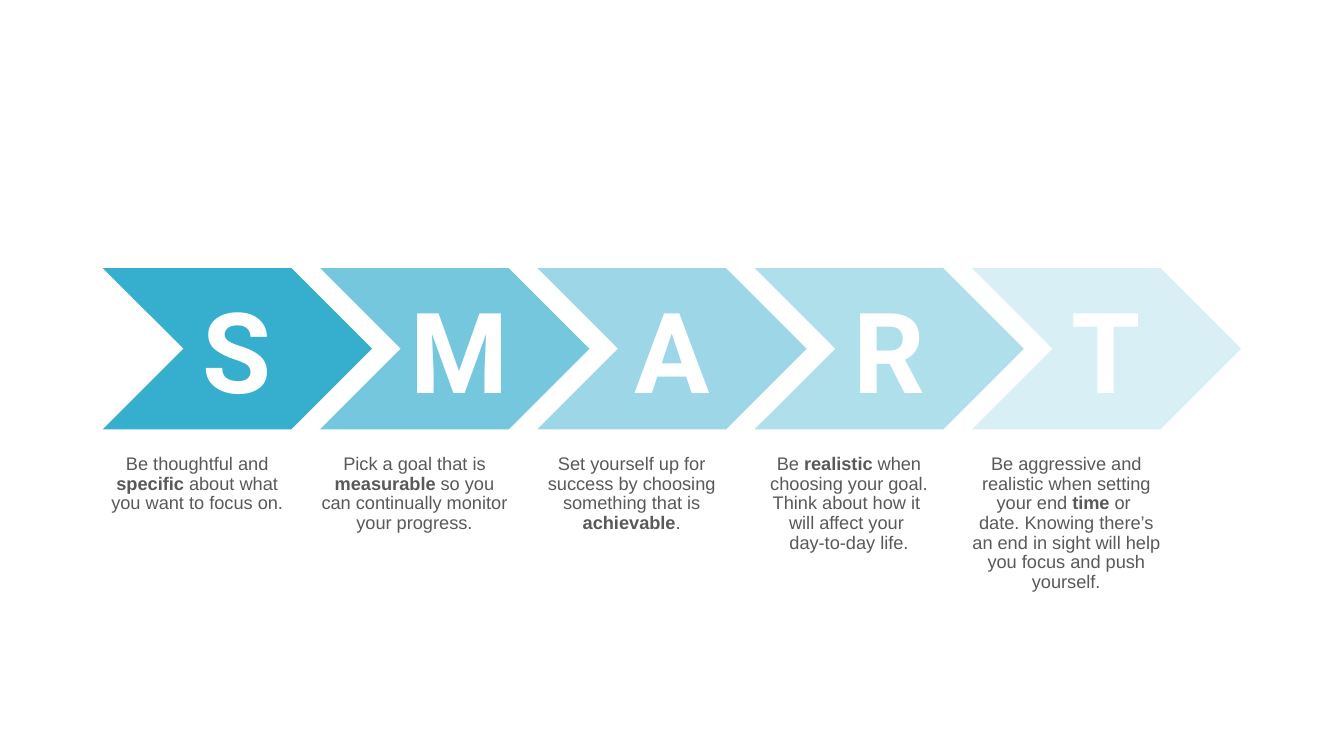
from pptx import Presentation
from pptx.dml.color import RGBColor
from pptx.enum import shapes, text
from pptx.util import Inches, Pt

COLORS = {"S": "36AFCE", "M": "74C7DC", "A": "9DD7E7", "R": "AFDFEB", "T": "D7EFF5",
          "letter": "FFFFFF", "advice": "58595B"}

# Letter and advice; asterisks enclose the bold keyword
STEPS = [
    ("S", "Be thoughtful and *specific* about what you want to focus on."),
    ("M", "Pick a goal that is *measurable* so you can continually monitor your progress."),
    ("A", "Set yourself up for success by choosing something that is *achievable*."),
    ("R", "Be *realistic* when choosing your goal. Think about how it \n"
          "will affect your \nday-to-day life."),
    ("T", "Be aggressive and realistic when setting your end *time* or \n"
          "date. Knowing there’s an end in sight will help you focus and push yourself."),
]
PITCH = 2.155


def style(paragraph, font_name, size, color):
    paragraph.alignment = text.PP_ALIGN.CENTER
    paragraph.font.name = font_name
    paragraph.font.size = Pt(size)
    paragraph.font.color.rgb = RGBColor.from_string(COLORS[color])


def add_chevron(slide, letter, left, top, width, height):
    chevron = slide.shapes.add_shape(
        shapes.MSO_SHAPE.CHEVRON, Inches(left), Inches(top), Inches(width), Inches(height))
    chevron.shadow.inherit = False
    chevron.fill.solid()
    chevron.fill.fore_color.rgb = RGBColor.from_string(COLORS[letter])
    chevron.line.fill.background()
    frame = chevron.text_frame
    frame.vertical_anchor = text.MSO_ANCHOR.MIDDLE
    frame.text = letter
    style(frame.paragraphs[0], "Roboto", 80, "letter")
    frame.paragraphs[0].font.bold = True


def add_advice(slide, advice, left, top, width, height):
    frame = slide.shapes.add_textbox(
        Inches(left), Inches(top), Inches(width), Inches(height)).text_frame
    frame.word_wrap = True
    frame.margin_left = frame.margin_right = frame.margin_top = frame.margin_bottom = 0
    paragraph = frame.paragraphs[0]
    style(paragraph, "Arial", 13, "advice")
    paragraph.line_spacing = 0.9
    paragraph.space_before = Pt(10)
    for part_index, part in enumerate(advice.split("*")):
        for line_index, line in enumerate(part.split("\n")):
            if line_index:
                paragraph.add_line_break()
            run = paragraph.add_run()
            run.text = line
            run.font.size = Pt(13)
            run.font.bold = part_index % 2 == 1


def add_smart_steps(slide, left, top):
    for index, (letter, advice) in enumerate(STEPS):
        step_left = left + index * PITCH
        add_advice(slide, advice, step_left, top + 1.85, 1.87, 1.99)
        add_chevron(slide, letter, step_left, top, 2.67, 1.6)


presentation = Presentation()
presentation.slide_width = Inches(13.33)
presentation.slide_height = Inches(7.5)
smart_slide = presentation.slides.add_slide(presentation.slide_layouts[6])
add_smart_steps(smart_slide, 1.02, 2.66)
presentation.save("out.pptx")
